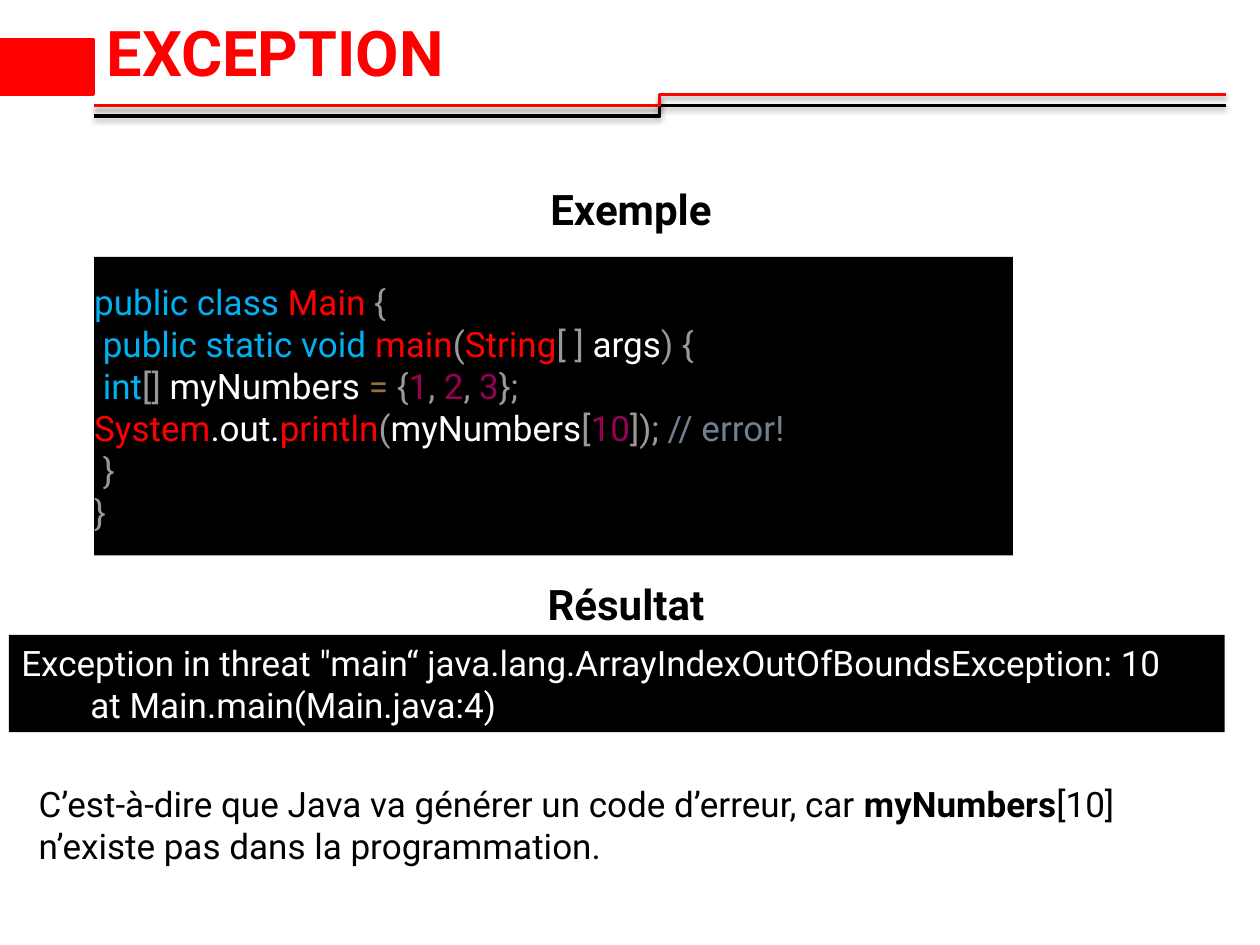
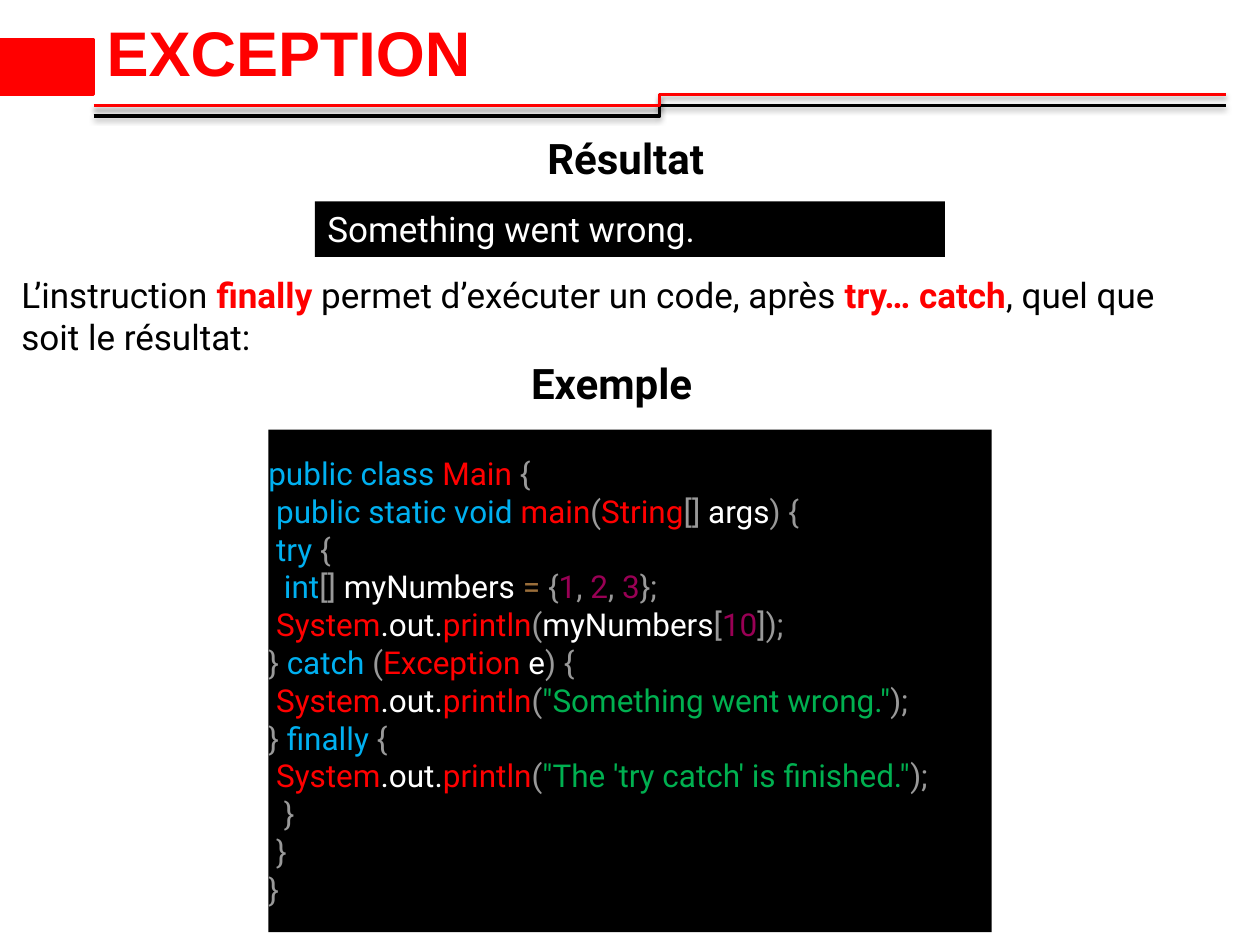
from lxml.etree import SubElement
from pptx import Presentation
from pptx.dml.color import RGBColor
from pptx.enum.shapes import MSO_CONNECTOR, MSO_SHAPE
from pptx.enum.text import MSO_ANCHOR, MSO_AUTO_SIZE, PP_ALIGN
from pptx.oxml.ns import qn
from pptx.util import Cm, Pt

COLOURS = {
    "text": "000000", "accent": "FF0000", "panel": "000000", "output": "FFFFFF",
    "keyword": "00B0F0", "name": "FF0000", "sign": "999999", "variable": "FFFFFF",
    "operator": "9A6E3A", "number": "990055", "string": "00B050", "comment": "708090",
}
FONT = "Roboto"
SPACE_WIDTH = 0.247  # width of one code indent, in ems


def colour(name):
    return RGBColor.from_string(COLOURS[name])


def line(*runs, **options):
    """A paragraph: plain strings or (colour, text) runs, and its own format."""
    return runs, options


def write(frame, lines, size=20, font=FONT, fill="text", bold=False, emphasis=False,
          align=PP_ALIGN.LEFT, anchor=MSO_ANCHOR.TOP, insets=(0.25, 0.13)):
    """Fill a text frame; emphasis makes coloured runs bold."""
    frame.word_wrap = True
    frame.auto_size = MSO_AUTO_SIZE.NONE
    frame.vertical_anchor = anchor
    frame.margin_left = frame.margin_right = Cm(insets[0])
    frame.margin_top = frame.margin_bottom = Cm(insets[1])
    for number, (runs, options) in enumerate(lines):
        paragraph = frame.paragraphs[0] if number == 0 else frame.add_paragraph()
        paragraph.alignment = options.get("align", align)
        points = options.get("size", size)
        indent = options.get("indent", 0) * points * SPACE_WIDTH
        if indent:
            paragraph._p.get_or_add_pPr().set("marL", str(int(Pt(indent))))
        for part in runs:
            name, words = (fill, part) if isinstance(part, str) else part
            run = paragraph.add_run()
            run.text = words
            run.font.size = Pt(points)
            run.font.name = font
            run.font.color.rgb = colour(name)
            run.font.bold = options.get("bold", bold) or (emphasis and name != fill)


def text_box(slide, box, lines, **text_format):
    frame = slide.shapes.add_textbox(*map(Cm, box)).text_frame
    write(frame, lines, **text_format)


def rectangle(slide, box, fill):
    shape = slide.shapes.add_shape(MSO_SHAPE.RECTANGLE, *map(Cm, box))
    shape.shadow.inherit = False
    shape.fill.solid()
    shape.fill.fore_color.rgb = colour(fill)
    shape.line.fill.background()
    return shape


def heading(slide, box, words):
    text_box(slide, box, [line(words)], size=24, bold=True, align=PP_ALIGN.CENTER)


def output_panel(slide, box, lines):
    write(rectangle(slide, box, "panel").text_frame, lines, fill="output")


def code_panel(slide, box, lines, size):
    write(rectangle(slide, box, "panel").text_frame, lines, size=size, fill="sign",
          anchor=MSO_ANCHOR.MIDDLE, insets=(0, 0.43))


def stepped_rule(slide, box, name):
    """A line that steps up halfway, with a soft shadow below it."""
    left, top, width, height = box
    rule = slide.shapes.add_connector(MSO_CONNECTOR.ELBOW, Cm(left), Cm(top + height),
                                      Cm(left + width), Cm(top))
    rule.line.color.rgb = colour(name)
    rule.line.width = Pt(2)
    effects = SubElement(rule._element.spPr, qn("a:effectLst"))
    shadow = SubElement(effects, qn("a:outerShdw"), blurRad=str(Pt(3.1)),
                        dist=str(Pt(1.6)), dir="5400000", rotWithShape="0")
    shade = SubElement(shadow, qn("a:srgbClr"), val=COLOURS["text"])
    SubElement(shade, qn("a:alpha"), val="38000")


def titled_slide(deck, title, font=FONT):
    """A slide with the red tab, the double rule and the title."""
    slide = deck.slides.add_slide(deck.slide_layouts[5])
    stepped_rule(slide, (1.89, 2.13, 22.82, 0.21), "text")
    stepped_rule(slide, (1.89, 1.91, 22.82, 0.22), "accent")
    tab = rectangle(slide, (0, 0.81, 1.89, 1.1), "accent")
    tab.line.color.rgb = colour("accent")
    tab.line.width = Pt(2)
    holder = slide.shapes.title
    holder.left, holder.top, holder.width, holder.height = map(Cm, (1.9, 0.13, 22.82, 1.8))
    write(holder.text_frame, [line(title)], size=36, font=font, fill="accent", bold=True,
          anchor=MSO_ANCHOR.MIDDLE)
    return slide


# Java lines that both examples use
def main_opening(brackets):
    return [
        line(("keyword", "public class "), ("name", "Main "), "{"),
        line(("keyword", "public static void "), ("name", "main"), "(", ("name", "String"),
             brackets + " ", ("variable", "args"), ") {", indent=1),
    ]


def numbers_line(indent):
    return line(("keyword", "int"), "[] ", ("variable", "myNumbers "), ("operator", "= "),
                "{", ("number", "1"), ", ", ("number", "2"), ", ", ("number", "3"), "};",
                indent=indent)


def print_line(*argument, indent=1):
    return line(("name", "System"), ("variable", ".out."), ("name", "println"), "(",
                *argument, indent=indent)


BAD_INDEX = (("variable", "myNumbers"), "[", ("number", "10"), "]);")


def error_slide(deck):
    slide = titled_slide(deck, "EXCEPTION")
    heading(slide, (0.18, 3.56, 24.87, 2.31), " Exemple")
    code_panel(slide, (1.9, 5.18, 18.52, 6.02), [
        *main_opening("[ ]"),
        numbers_line(1),
        print_line(*BAD_INDEX, ("comment", " // error!"), indent=0),
        line("}", indent=1),
        line("}"),
    ], size=20)
    heading(slide, (8.05, 11.53, 9.14, 1.27), "Résultat")
    output_panel(slide, (0.18, 12.8, 24.51, 1.96), [
        line('Exception in threat "main“ java.lang.ArrayIndexOutOfBoundsException: 10'),
        line("at Main.main(Main.java:4)", indent=8),
    ])
    text_box(slide, (0.53, 15.65, 23.32, 1.96), [
        line("C’est-à-dire que Java va générer un code d’erreur, car ",
             ("variable_name", "myNumbers"), "[10] n’existe pas dans la programmation."),
    ], emphasis=True)


def finally_slide(deck):
    slide = titled_slide(deck, "EXCEPTION", font="Arial")
    heading(slide, (0.18, 2.54, 24.87, 1.27), "Résultat")
    output_panel(slide, (6.35, 4.06, 12.7, 1.12), [line("Something went wrong.")])
    text_box(slide, (0.18, 5.38, 24.51, 3), [
        line("L’instruction ", ("accent", "finally"), " permet d’exécuter un code, après ",
             ("accent", "try… catch"), ", quel que soit le résultat:"),
        line("Exemple ", size=24, bold=True, align=PP_ALIGN.CENTER),
    ], emphasis=True)
    code_panel(slide, (5.41, 8.66, 14.58, 10.13), [
        *main_opening("[]"),
        line(("keyword", "try "), "{", indent=1),
        numbers_line(2),
        print_line(*BAD_INDEX),
        line("} ", ("keyword", "catch "), "(", ("name", "Exception "), ("variable", "e"), ") {"),
        print_line(("string", '"Something went wrong."'), ");"),
        line("}", ("keyword", " finally "), "{"),
        print_line(("string", "\"The 'try catch' is finished.\""), ");"),
        *(line("}", indent=depth) for depth in (2, 1, 0)),
    ], size=18)


COLOURS["variable_name"] = COLOURS["text"]  # bold in running text, same colour

presentation = Presentation()
presentation.slide_width, presentation.slide_height = Cm(25.4), Cm(19.05)
error_slide(presentation)
finally_slide(presentation)
presentation.save("out.pptx")
